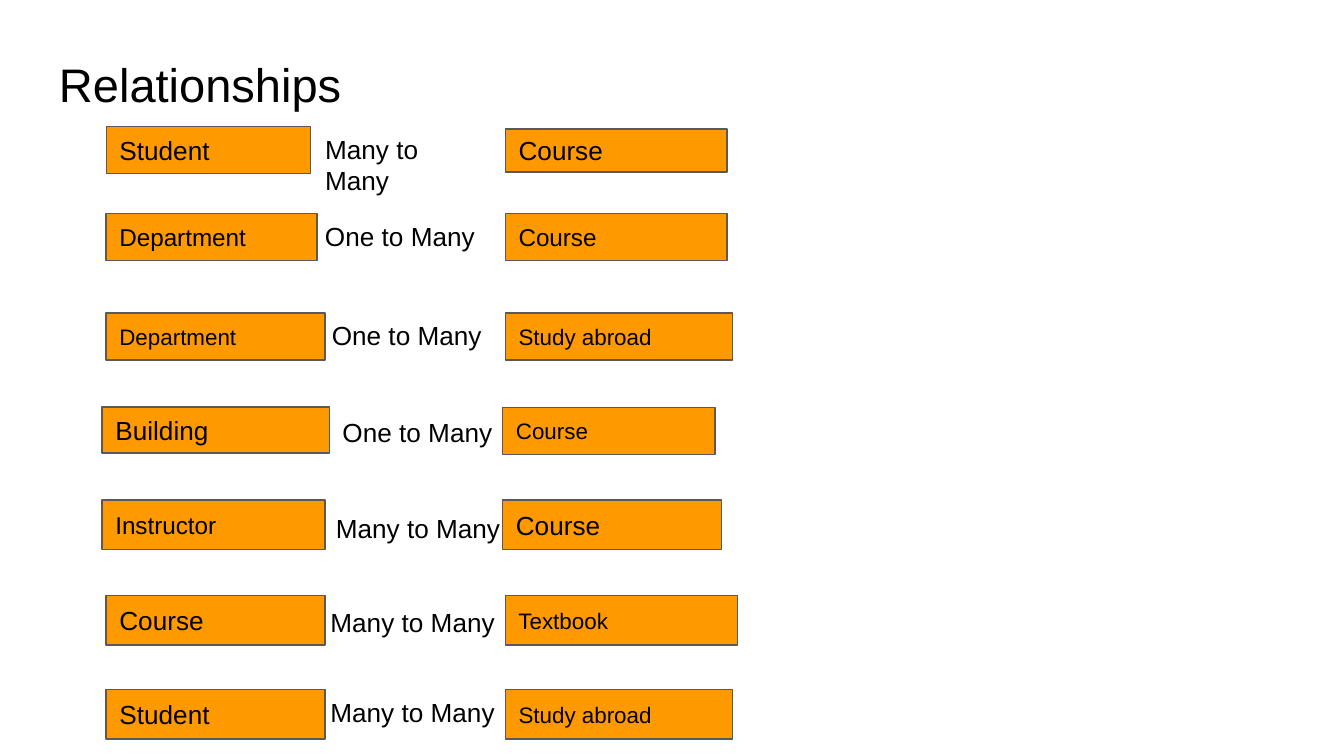
"""Build the entity relationships slide."""
from dataclasses import dataclass

import pptx
import pptx.dml.color
import pptx.enum.shapes
import pptx.enum.text
import pptx.util
from pptx.util import Inches

COLORS = {"text": "000000", "box": "FF9900", "line": "595959"}
FONT = "Arial"
SLIDE_WIDTH = 10
SLIDE_HEIGHT = SLIDE_WIDTH * 9 / 16


@dataclass
class Item:
    """Text with its place in inches and its size in points."""
    text: str
    left: float
    top: float
    width: float
    height: float = 0.34
    size: float = 14
    wrap: bool = True


@dataclass
class Relationship:
    """Two entities and the cardinality between them."""
    source: Item
    label: Item
    target: Item


TITLE = Item("Relationships", 0.34, 0.31, 9.32, 0.63, 25.2)
RELATIONSHIPS = [
    Relationship(Item("Student", 0.79, 0.94, 1.52, 0.35),
                 Item("Many to Many", 2.32, 0.94, 1.42, wrap=False),
                 Item("Course", 3.76, 0.96, 1.65, 0.32)),
    Relationship(Item("Department", 0.79, 1.59, 1.57, 0.35, 13),
                 Item("One to Many", 2.32, 1.59, 1.44),
                 Item("Course", 3.76, 1.59, 1.65, 0.35, 13)),
    Relationship(Item("Department", 0.79, 2.33, 1.63, 0.35, 12),
                 Item("One to Many", 2.37, 2.33, 2.78),
                 Item("Study abroad", 3.76, 2.33, 1.69, 0.35, 12)),
    Relationship(Item("Building", 0.76, 3.03, 1.69),
                 Item("One to Many", 2.45, 3.05, 1.44),
                 Item("Course", 3.74, 3.03, 1.58, 0.35, 12)),
    Relationship(Item("Instructor", 0.76, 3.72, 1.66, 0.37, 13),
                 Item("Many to Many", 2.4, 3.76, 1.49),
                 Item("Course", 3.74, 3.72, 1.63, 0.37)),
    Relationship(Item("Course", 0.79, 4.43, 1.63, 0.37),
                 Item("Many to Many", 2.36, 4.46, 2.78),
                 Item("Textbook", 3.76, 4.43, 1.73, 0.37, 12)),
    Relationship(Item("Student", 0.79, 5.13, 1.63, 0.37),
                 Item("Many to Many", 2.36, 5.13, 1.93),
                 Item("Study abroad", 3.76, 5.13, 1.69, 0.37, 12)),
]


def rgb(name: str) -> pptx.dml.color.RGBColor:
    """Return a named colour."""
    return pptx.dml.color.RGBColor.from_string(COLORS[name])


def bounds(item: Item) -> list[int]:
    """Return left, top, width and height as lengths."""
    return [Inches(v) for v in (item.left, item.top, item.width, item.height)]


def write(sp: pptx.shapes.autoshape.Shape, item: Item, inset: float) -> None:
    """Fill a shape with left-aligned text."""
    tf = sp.text_frame
    tf.word_wrap = item.wrap
    tf.margin_left = tf.margin_right = Inches(0.1)
    tf.margin_top = tf.margin_bottom = Inches(inset)
    p = tf.paragraphs[0]
    p.text = item.text
    p.alignment = pptx.enum.text.PP_ALIGN.LEFT
    p.font.name = FONT
    p.font.size = pptx.util.Pt(item.size)
    p.font.color.rgb = rgb("text")


def add_label(s: pptx.slide.Slide, item: Item, inset: float = 0.05) -> None:
    """Add a plain text box."""
    write(s.shapes.add_textbox(*bounds(item)), item, inset)


def add_entity(s: pptx.slide.Slide, item: Item) -> None:
    """Add an outlined entity box."""
    sp = s.shapes.add_shape(pptx.enum.shapes.MSO_SHAPE.RECTANGLE, *bounds(item))
    sp.shadow.inherit = False
    sp.fill.solid()
    sp.fill.fore_color.rgb = rgb("box")
    sp.line.color.rgb = rgb("line")
    sp.line.width = pptx.util.Pt(0.75)
    write(sp, item, 0.1)
    sp.text_frame.vertical_anchor = pptx.enum.text.MSO_ANCHOR.MIDDLE


def main() -> None:
    """Build and save the presentation."""
    prs = pptx.Presentation()
    prs.slide_width = Inches(SLIDE_WIDTH)
    prs.slide_height = Inches(SLIDE_HEIGHT)
    s = prs.slides.add_slide(prs.slide_layouts[6])
    add_label(s, TITLE, 0.1)
    for relationship in RELATIONSHIPS:
        add_entity(s, relationship.source)
        add_entity(s, relationship.target)
        add_label(s, relationship.label)
    prs.save("out.pptx")


if __name__ == "__main__":
    main()
